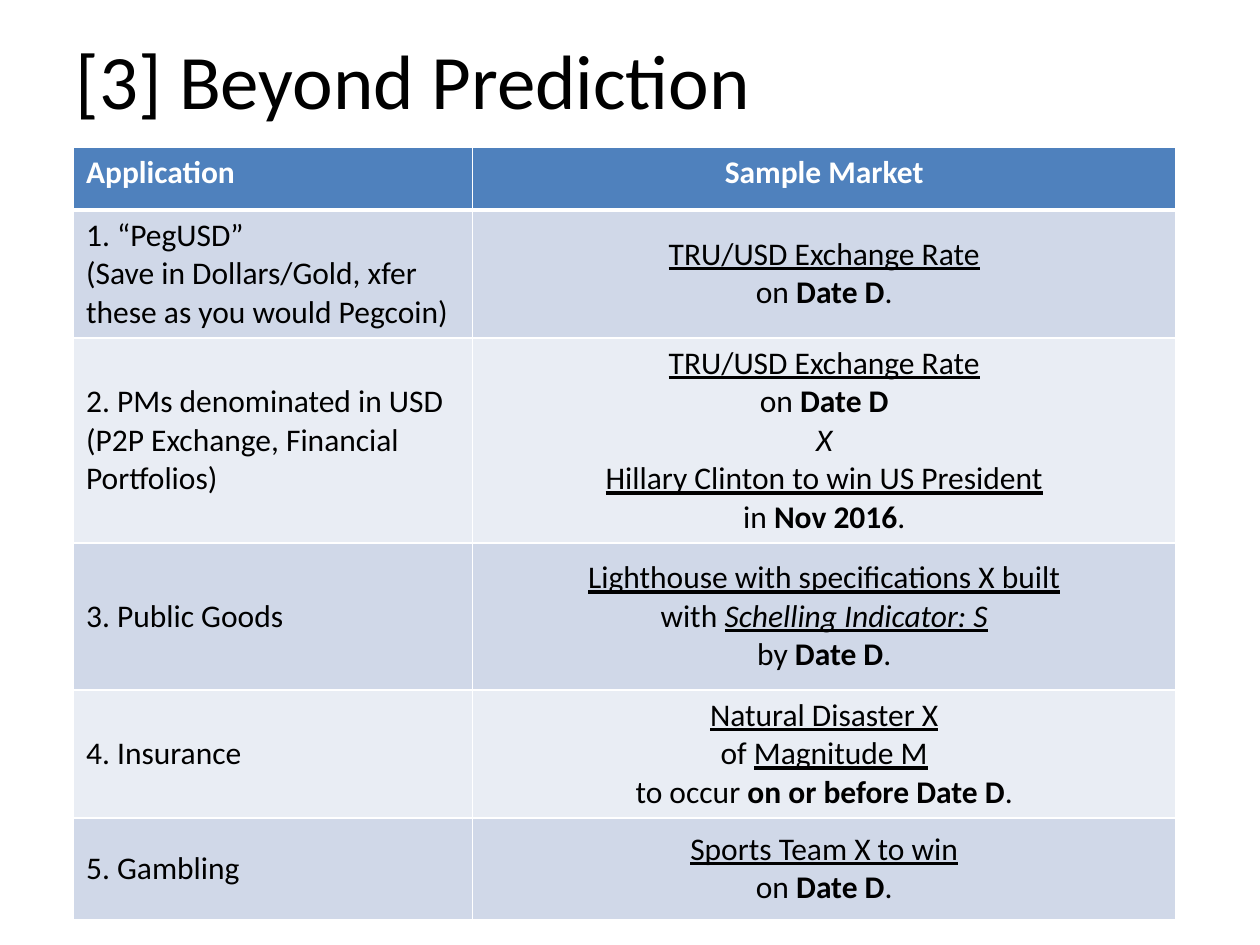
from lxml import etree
from pptx import Presentation
from pptx.dml import color
from pptx.enum import text
from pptx.oxml import ns
from pptx.util import Pt

FONT = "Calibri"
BLACK, WHITE, BLUE = "000000", "FFFFFF", "4F81BD"
BANDS = ["D0D8E8", "E9EDF4"]
COLUMN_WIDTHS = [228, 402]
ROW_HEIGHTS = [36, 66, 66, 84, 58, 58]

EXCHANGE_RATE = [("TRU/USD Exchange Rate", "u")]
ON_DATE = [("on ", ""), ("Date D", "b")]
STOP = [(".", "")]
MARKETS = [
    ("1. “PegUSD”\v(Save in Dollars/Gold, xfer these as you would Pegcoin)",
     [EXCHANGE_RATE, ON_DATE + STOP]),
    ("2. PMs denominated in USD (P2P Exchange, Financial Portfolios)",
     [EXCHANGE_RATE, ON_DATE, [("X", "i")],
      [("Hillary Clinton to win US President", "u")],
      [("in ", ""), ("Nov 2016", "b")] + STOP]),
    ("3. Public Goods",
     [[("Lighthouse with specifications X built", "u")],
      [("with ", ""), ("Schelling Indicator: S", "iu")],
      [("by ", ""), ("Date D", "b")] + STOP]),
    ("4. Insurance",
     [[("Natural Disaster X", "u")],
      [("of ", ""), ("Magnitude M", "u")],
      [("to occur ", ""), ("on or before Date D", "b")] + STOP]),
    ("5. Gambling",
     [[("Sports Team X to win", "u")], ON_DATE + STOP]),
]


def rgb(value):
    """Turn a hex string into a colour."""
    return color.RGBColor.from_string(value)


def format_run(run, size, ink, style=""):
    """Set the font of a run; style holds any of the letters b, i and u."""
    font = run.font
    font.name, font.size = FONT, Pt(size)
    font.color.rgb = rgb(ink)
    font.bold, font.italic, font.underline = (mark in style for mark in "biu")


def write_line(paragraph, pieces, ink, align):
    """Write styled pieces of text into one paragraph."""
    paragraph.alignment = align
    for wording, style in pieces:
        before = len(paragraph.runs)
        if before:
            paragraph.add_run().text = wording
        else:
            paragraph.text = wording
        for run in paragraph.runs[before:]:
            format_run(run, 18, ink, style)


def add_borders(cell, bottom):
    """Draw white lines around a cell, the lower one of the given width."""
    properties = cell._tc.get_or_add_tcPr()
    for side, width in zip("LRTB", (1, 1, 1, bottom)):
        line = etree.SubElement(properties, ns.qn(f"a:ln{side}"), w=str(Pt(width)))
        fill = etree.SubElement(line, ns.qn("a:solidFill"))
        etree.SubElement(fill, ns.qn("a:srgbClr"), val=WHITE)


def fill_cell(cell, lines, background, ink=BLACK, centred=False, header=False):
    """Give a cell its lines of text, borders and background."""
    add_borders(cell, 3 if header else 1)
    cell.fill.solid()
    cell.fill.fore_color.rgb = rgb(background)
    cell.vertical_anchor = text.MSO_ANCHOR.TOP if header else text.MSO_ANCHOR.MIDDLE
    align = text.PP_ALIGN.CENTER if centred else text.PP_ALIGN.LEFT
    frame = cell.text_frame
    for index, pieces in enumerate(lines):
        paragraph = frame.add_paragraph() if index else frame.paragraphs[0]
        write_line(paragraph, pieces, ink, align)


def add_title(slide, wording):
    """Place the slide title at the top left."""
    title = slide.shapes.title
    title.left, title.top, title.width, title.height = Pt(36), Pt(0), Pt(648), Pt(90)
    title.text_frame.text = wording
    title.text_frame.vertical_anchor = text.MSO_ANCHOR.MIDDLE
    heading = title.text_frame.paragraphs[0]
    heading.alignment = text.PP_ALIGN.LEFT
    format_run(heading.runs[0], 44, BLACK)


def add_market_table(slide):
    """Add the table of applications and their sample markets."""
    height = Pt(437)
    frame = slide.shapes.add_table(len(ROW_HEIGHTS), len(COLUMN_WIDTHS),
                                   Pt(42), Pt(84), Pt(sum(COLUMN_WIDTHS)), height)
    table = frame.table
    for column, width in zip(table.columns, COLUMN_WIDTHS):
        column.width = Pt(width)
    for row, row_height in zip(table.rows, ROW_HEIGHTS):
        row.height = Pt(row_height)
    frame.height = height
    for column, heading in enumerate(["Application", "Sample Market"]):
        fill_cell(table.cell(0, column), [[(heading, "b")]], BLUE, WHITE,
                  centred=column == 1, header=True)
    for index, (application, market) in enumerate(MARKETS):
        band = BANDS[index % 2]
        fill_cell(table.cell(index + 1, 0), [[(application, "")]], band)
        fill_cell(table.cell(index + 1, 1), market, band, centred=True)


def main():
    """Build the slide and save it."""
    deck = Presentation()
    deck.slide_width, deck.slide_height = Pt(720), Pt(540)
    slide = deck.slides.add_slide(deck.slide_layouts[5])
    add_title(slide, "[3] Beyond Prediction")
    add_market_table(slide)
    deck.save("out.pptx")


if __name__ == "__main__":
    main()
